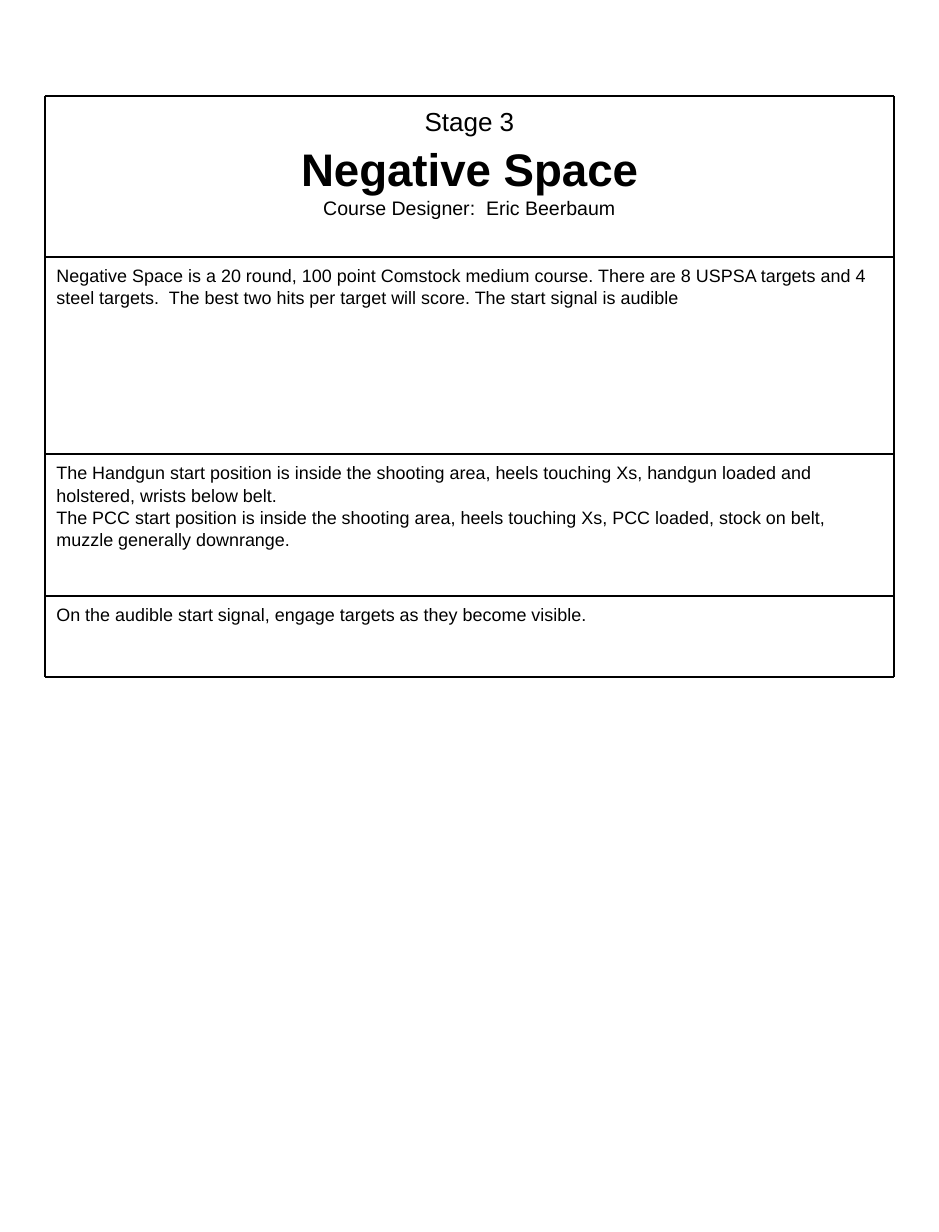
"""Build the stage briefing sheet for Negative Space."""
from dataclasses import dataclass
from itertools import pairwise

import pptx
import pptx.dml.color
import pptx.enum.shapes
import pptx.enum.text
import pptx.oxml
import pptx.oxml.ns
import pptx.util

Cm = pptx.util.Cm
Align = pptx.enum.text.PP_ALIGN
INK = "000000"
LEFT, RIGHT = 0.97, 19.35
ROW_EDGES = [2.08, 5.56, 9.83, 12.9, 14.66]


@dataclass
class Line:
    text: str
    size: int = 11
    bold: bool = False
    before: float = 0


HEADER = [
    Line("Stage 3", 16),
    Line("Negative Space", 28, True, 1),
    Line("Course Designer:  Eric Beerbaum", 12),
]
BRIEFING = [
    [Line("Negative Space is a 20 round, 100 point Comstock medium course. "
          "There are 8 USPSA targets and 4 steel targets.  The best two hits "
          "per target will score. The start signal is audible")],
    [Line("The Handgun start position is inside the shooting area, heels "
          "touching Xs, handgun loaded and holstered, wrists below belt."),
     Line("The PCC start position is inside the shooting area, heels touching "
          "Xs, PCC loaded, stock on belt, muzzle generally downrange.")],
    [Line("On the audible start signal, engage targets as they become visible.")],
]


def color(value: str) -> pptx.dml.color.RGBColor:
    return pptx.dml.color.RGBColor.from_string(value)


def fill_box(shape, top: float, bottom: float, lines: list[Line],
             alignment: Align, inset_top: float) -> None:
    shape.left, shape.top = Cm(LEFT), Cm(top)
    shape.width, shape.height = Cm(RIGHT - LEFT), Cm(bottom - top)
    frame = shape.text_frame
    frame.word_wrap = True
    frame.auto_size = pptx.enum.text.MSO_AUTO_SIZE.NONE
    frame.vertical_anchor = pptx.enum.text.MSO_ANCHOR.TOP
    frame.margin_left = frame.margin_right = Cm(0.25)
    frame.margin_top, frame.margin_bottom = Cm(inset_top), Cm(0.13)
    for index, line in enumerate(lines):
        paragraph = frame.add_paragraph() if index else frame.paragraphs[0]
        paragraph.alignment = alignment
        paragraph.line_spacing = 1.04
        paragraph.space_before = pptx.util.Pt(line.before)
        run = paragraph.add_run()
        run.text = line.text
        run.font.name = "Arial"
        run.font.size = pptx.util.Pt(line.size)
        run.font.bold = line.bold
        run.font.color.rgb = color(INK)


def add_rule(slide, start: tuple[float, float], end: tuple[float, float]) -> None:
    connector = slide.shapes.add_connector(
        pptx.enum.shapes.MSO_CONNECTOR.STRAIGHT, *map(Cm, start + end))
    connector.line.color.rgb = color(INK)
    connector.line.width = pptx.util.Pt(0.91)
    properties = connector.element.find(pptx.oxml.ns.qn("p:spPr"))
    properties.append(pptx.oxml.parse_xml(
        f"<a:effectLst {pptx.oxml.ns.nsdecls('a')}/>"))


def main() -> None:
    presentation = pptx.Presentation()
    presentation.slide_width, presentation.slide_height = Cm(20.32), Cm(26.67)
    slide = presentation.slides.add_slide(presentation.slide_layouts[5])

    rows = list(pairwise(ROW_EDGES))
    fill_box(slide.shapes.title, *rows[0], HEADER, Align.CENTER, 0.18)
    for (top, bottom), lines in zip(rows[1:], BRIEFING):
        shape = slide.shapes.add_textbox(0, 0, 0, 0)
        fill_box(shape, top, bottom, lines, Align.LEFT, 0.15)

    for edge in ROW_EDGES:
        add_rule(slide, (LEFT, edge), (RIGHT, edge))
    for side in (LEFT, RIGHT):
        for top, bottom in rows:
            add_rule(slide, (side, top), (side, bottom))

    presentation.save("out.pptx")


if __name__ == "__main__":
    main()
